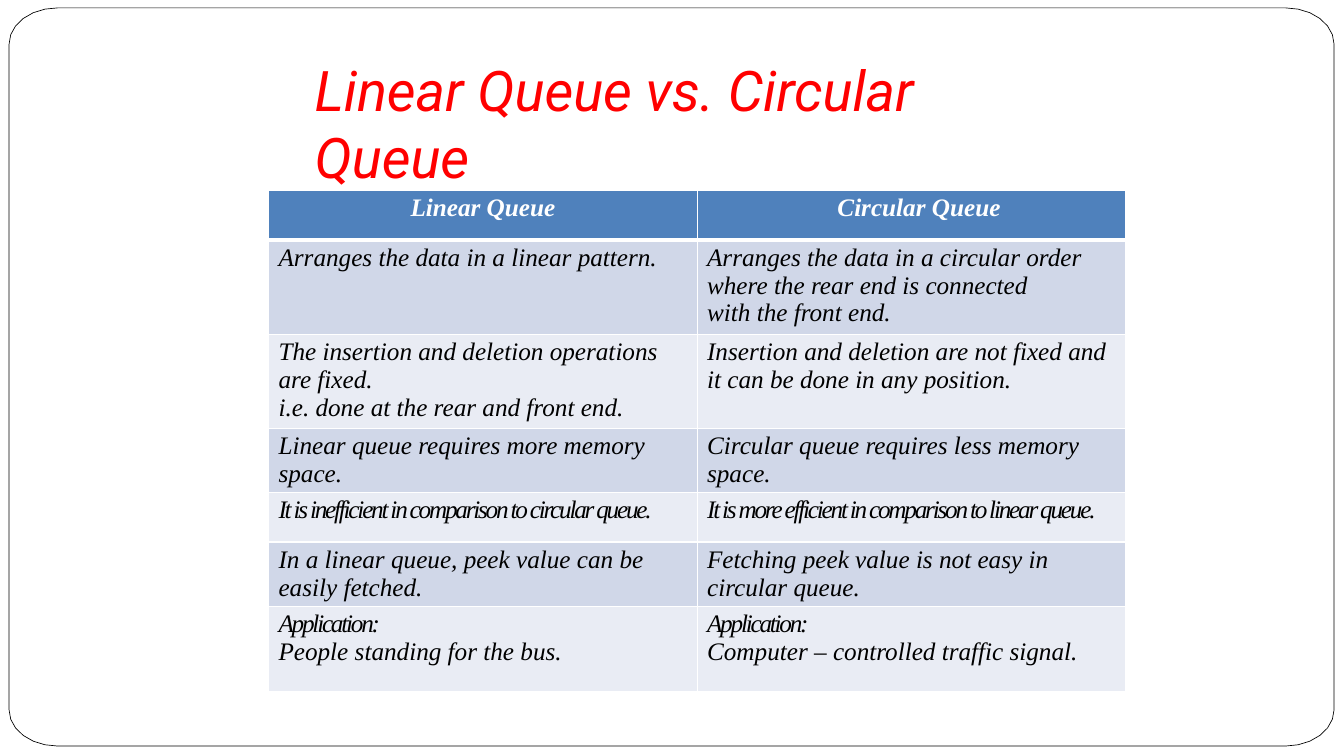
from math import cos, radians, sin

from lxml import etree
from pptx import Presentation
from pptx.dml.color import RGBColor
from pptx.enum.text import MSO_ANCHOR, PP_ALIGN
from pptx.oxml.ns import qn
from pptx.util import Cm, Pt

LEFT = PP_ALIGN.LEFT
CENTER = PP_ALIGN.CENTER
TOP = MSO_ANCHOR.TOP

HEADERS = ("Linear Queue", "Circular Queue")
HEADER_INDENTS = (0.25, 0.63)
HEADER_FILL = "4F81BC"
BAND_FILLS = ("E9ECF4", "D0D7E8")
ROW_HEIGHTS = (1.24, 2.16, 2.16, 1.24, 1.24, 1.24, 2.16)
TIGHT = -1.6
TIGHT_STARTS = ("It is", "Application:")

COMPARISONS = (
    ("Arranges the data in a linear pattern.",
     "Arranges the data in a circular order where the rear end is connected\vwith the front end."),
    ("The insertion and deletion operations are fixed.\ni.e. done at the rear and front end.",
     "Insertion and deletion are not fixed and it can be done in any position."),
    ("Linear queue requires more memory space.",
     "Circular queue requires less memory space."),
    ("It is inefficient in comparison to circular queue.",
     "It is more efficient in comparison to linear queue."),
    ("In a linear queue, peek value can be easily fetched.",
     "Fetching peek value is not easy in circular queue."),
    ("Application:\nPeople standing for the bus.",
     "Application:\nComputer – controlled traffic signal."),
)


def color(value):
    """Turn a hex string into a colour."""
    return RGBColor.from_string(value)


def write(frame, text, *, font, size, ink, bold=False, align=LEFT, margins=(0, 0, 0)):
    """Fill a text holder with italic paragraphs, one per line of text."""
    frame.margin_left, frame.margin_top, frame.margin_right = map(Cm, margins)
    frame.margin_bottom = 0
    frame.vertical_anchor = TOP
    body = getattr(frame, "text_frame", frame)
    body.word_wrap = True
    body.text = text
    for para in body.paragraphs:
        para.alignment = align
        for span in para.runs:
            span.font.name = font
            span.font.size = Pt(size)
            span.font.bold = bold
            span.font.italic = True
            span.font.color.rgb = color(ink)
            if span.text.startswith(TIGHT_STARTS):
                span.font._element.set("spc", str(int(TIGHT * 100)))


def add_page_frame(page):
    """Outline the page with elliptical corners."""
    left, top, right, bottom = 0.23, 0.2, 33.62, 18.8
    radius_x, radius_y = 1.22, 0.91
    centers = (
        (right - radius_x, top + radius_y),
        (right - radius_x, bottom - radius_y),
        (left + radius_x, bottom - radius_y),
        (left + radius_x, top + radius_y),
    )
    points = []
    for corner, (center_x, center_y) in enumerate(centers):
        for step in range(7):
            angle = radians(90 * (corner - 1) + 15 * step)
            points.append((Cm(center_x + radius_x * cos(angle)),
                           Cm(center_y + radius_y * sin(angle))))
    builder = page.shapes.build_freeform(*points[0])
    builder.add_line_segments(points[1:], close=True)
    outline = builder.convert_to_shape()
    outline.shadow.inherit = False
    outline.fill.background()
    outline.line.color.rgb = color("000000")
    outline.line.width = Pt(0.48)


def add_title(page):
    """Place the slide heading."""
    box = page.shapes.add_textbox(Cm(7.9), Cm(1.37), Cm(19.2), Cm(1.75))
    write(box.text_frame, "Linear Queue vs. Circular Queue", font="Roboto",
          size=40, ink="FF0000", margins=(0.03, 0.03, 0))


def set_borders(cell, top, bottom):
    """Draw white cell borders with the given top and bottom widths."""
    properties = cell._tc.get_or_add_tcPr()
    for side, width in (("L", 1), ("R", 1), ("T", top), ("B", bottom)):
        line = etree.SubElement(properties, qn(f"a:ln{side}"), w=str(Pt(width)))
        fill = etree.SubElement(line, qn("a:solidFill"))
        etree.SubElement(fill, qn("a:srgbClr"), val="FFFFFF")


def add_comparison_table(page):
    """Build the two-column comparison of queues."""
    rows = (HEADERS, *COMPARISONS)
    table = page.shapes.add_table(len(rows), len(HEADERS), Cm(6.77), Cm(4.81),
                                  Cm(21.6), Cm(sum(ROW_HEIGHTS))).table
    table.horz_banding = False
    for column in table.columns:
        column.width = Cm(10.8)
    for row_index, texts in enumerate(rows):
        table.rows[row_index].height = Cm(ROW_HEIGHTS[row_index])
        header = row_index == 0
        for column_index, text in enumerate(texts):
            cell = table.cell(row_index, column_index)
            set_borders(cell, 3 if row_index == 1 else 1, 3 if header else 1)
            cell.fill.solid()
            cell.fill.fore_color.rgb = color(HEADER_FILL if header else BAND_FILLS[row_index % 2])
            indent = HEADER_INDENTS[column_index] if header else 0.25
            write(cell, text, font="Times New Roman", size=18, bold=header,
                  ink="FFFFFF" if header else "000000",
                  align=CENTER if header else LEFT, margins=(indent, 0.09, 0.25))


def main():
    """Create the deck and save it."""
    deck = Presentation()
    deck.slide_width = Cm(33.87)
    deck.slide_height = Cm(19.05)
    page = deck.slides.add_slide(deck.slide_layouts[6])
    add_page_frame(page)
    add_title(page)
    add_comparison_table(page)
    deck.save("out.pptx")


if __name__ == "__main__":
    main()
